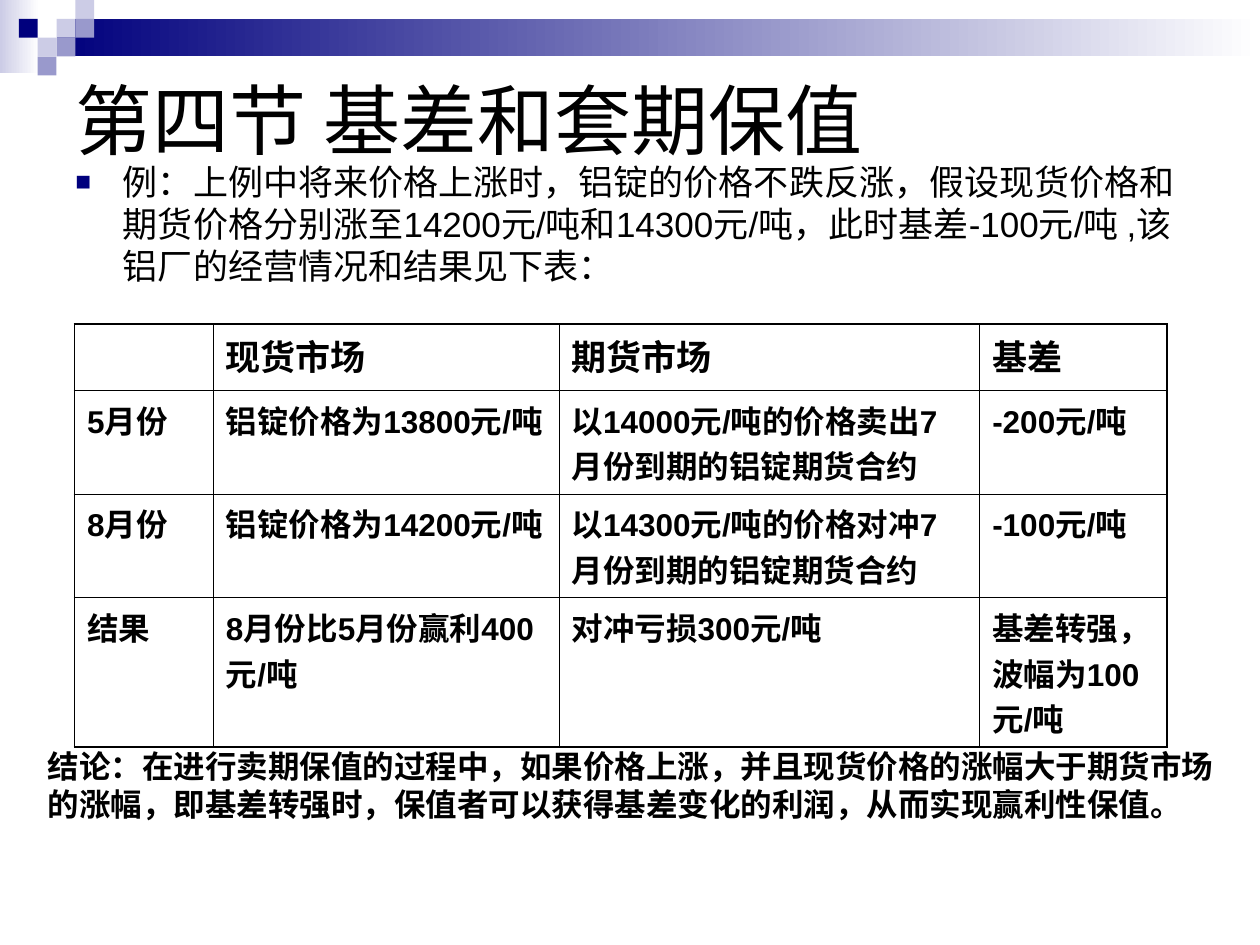
from dataclasses import dataclass

from lxml import etree
from pptx import Presentation
from pptx.dml.color import RGBColor
from pptx.enum.shapes import MSO_SHAPE
from pptx.enum.text import MSO_ANCHOR, MSO_AUTO_SIZE
from pptx.oxml.ns import qn
from pptx.util import Cm, Pt

RECTANGLE = MSO_SHAPE.RECTANGLE
TOP, MIDDLE = MSO_ANCHOR.TOP, MSO_ANCHOR.MIDDLE
FIT_SHAPE = MSO_AUTO_SIZE.SHAPE_TO_FIT_TEXT
FONT = "Arial"
COLORS = {"navy": "00007D", "lavender": "CCCCE6", "violet": "9999CC",
          "white": "FFFFFF", "black": "000000"}
SQUARE = 0.38  # side and pitch of the corner squares, cm
THIN, THICK = Pt(0.45), Pt(1.08)


@dataclass
class Band:
    left: float
    top: float
    width: float
    height: float
    color: str


@dataclass
class Square:
    column: int
    row: int
    color: str


@dataclass
class TextBlock:
    left: float
    top: float
    width: float
    height: float
    lines: list[str]
    size: int
    bold: bool = False
    wrap: bool = True
    anchor: MSO_ANCHOR = TOP
    line_height: float | None = None


BANDS = [Band(0, 0, 0.79, 1.47, "lavender"), Band(1.14, 0.38, 24.26, 0.76, "navy")]
SQUARES = [
    Square(3, 1, "lavender"), Square(4, 0, "lavender"), Square(4, 1, "violet"),
    Square(2, 2, "lavender"), Square(1, 1, "navy"), Square(3, 2, "violet"),
    Square(2, 3, "violet"),
]
TITLE = TextBlock(1.27, 1.27, 22.86, 2.26, ["第四节 基差和套期保值"], 44, anchor=MIDDLE)
EXAMPLE = TextBlock(
    1.27, 3.12, 23.24, 13.89,
    ["例：上例中将来价格上涨时，铝锭的价格不跌反涨，假设现货价格和期货价格分别涨至"
     "14200元/吨和14300元/吨，此时基差-100元/吨 ,该铝厂的经营情况和结果见下表："],
    20, line_height=24)
CONCLUSION = TextBlock(
    0.71, 14.94, 24, 1.78,
    ["结论：在进行卖期保值的过程中，如果价格上涨，并且现货价格的涨幅大于期货市场",
     "的涨幅，即基差转强时，保值者可以获得基差变化的利润，从而实现赢利性保值。"],
    18, bold=True, wrap=False, line_height=21.6)

# Each row is tall enough for its longest cell: one, two, two and three lines
COLUMN_WIDTHS = [2.8, 6.97, 8.48, 3.78]
ROW_HEIGHTS = [1.34, 2.09, 2.09, 3.01]
MARKET_ROWS = [
    ["", "现货市场", "期货市场", "基差"],
    ["5月份", "铝锭价格为13800元/吨", "以14000元/吨的价格卖出7月份到期的铝锭期货合约", "-200元/吨"],
    ["8月份", "铝锭价格为14200元/吨", "以14300元/吨的价格对冲7月份到期的铝锭期货合约", "-100元/吨"],
    ["结果", "8月份比5月份赢利400元/吨", "对冲亏损300元/吨", "基差转强，波幅为100元/吨"],
]


def rgb(name: str) -> RGBColor:
    return RGBColor.from_string(COLORS[name])


def format_runs(paragraph, size: int, bold: bool) -> None:
    for run in paragraph.runs:
        run.font.name = FONT
        run.font.size = Pt(size)
        run.font.bold = bold
        run.font.color.rgb = rgb("black")


def add_rectangle(slide, left: float, top: float, width: float, height: float):
    shape = slide.shapes.add_shape(RECTANGLE, Cm(left), Cm(top), Cm(width), Cm(height))
    shape.shadow.inherit = False
    shape.line.fill.background()
    return shape


def draw_band(slide, band: Band) -> None:
    shape = add_rectangle(slide, band.left, band.top, band.width, band.height)
    shape.fill.gradient()
    shape.fill.gradient_angle = 0
    for stop, color in zip(shape.fill.gradient_stops, (band.color, "white")):
        stop.color.rgb = rgb(color)


def draw_square(slide, square: Square) -> None:
    shape = add_rectangle(slide, square.column * SQUARE, square.row * SQUARE, SQUARE, SQUARE)
    shape.fill.solid()
    shape.fill.fore_color.rgb = rgb(square.color)


def draw_text(slide, block: TextBlock):
    shape = slide.shapes.add_textbox(
        Cm(block.left), Cm(block.top), Cm(block.width), Cm(block.height))
    text_frame = shape.text_frame
    text_frame.text = "\n".join(block.lines)
    text_frame.word_wrap = block.wrap
    text_frame.vertical_anchor = block.anchor
    if not block.wrap:
        text_frame.auto_size = FIT_SHAPE
    for paragraph in text_frame.paragraphs:
        if block.line_height:
            paragraph.line_spacing = Pt(block.line_height)
        format_runs(paragraph, block.size, block.bold)
    return shape


def add_bullet(paragraph) -> None:
    paragraph.space_before = Pt(5)
    properties = paragraph._p.get_or_add_pPr()
    properties.set("marL", str(Cm(0.96)))
    properties.set("indent", str(-Cm(0.96)))
    color = etree.SubElement(properties, qn("a:buClr"))
    etree.SubElement(color, qn("a:srgbClr"), val=COLORS["navy"])
    etree.SubElement(properties, qn("a:buSzPct"), val="75000")
    etree.SubElement(properties, qn("a:buFont"), typeface=FONT)
    etree.SubElement(properties, qn("a:buChar"), char="■")


def set_borders(cell, widths: dict[str, int]) -> None:
    properties = cell._tc.get_or_add_tcPr()
    for side, width in widths.items():
        line = etree.SubElement(properties, qn(f"a:ln{side}"), w=str(width))
        fill = etree.SubElement(line, qn("a:solidFill"))
        etree.SubElement(fill, qn("a:srgbClr"), val=COLORS["black"])


def draw_table(slide) -> None:
    row_count, column_count = len(ROW_HEIGHTS), len(COLUMN_WIDTHS)
    table = slide.shapes.add_table(
        row_count, column_count, Cm(1.5), Cm(6.53),
        Cm(sum(COLUMN_WIDTHS)), Cm(sum(ROW_HEIGHTS))).table
    table.first_row = table.horz_banding = False
    for column, width in zip(table.columns, COLUMN_WIDTHS):
        column.width = Cm(width)
    for row, height in zip(table.rows, ROW_HEIGHTS):
        row.height = Cm(height)
    for row_index, texts in enumerate(MARKET_ROWS):
        for column_index, text in enumerate(texts):
            cell = table.cell(row_index, column_index)
            # Thick lines run only along the outside of the table
            set_borders(cell, {
                "L": THICK if column_index == 0 else THIN,
                "R": THICK if column_index == column_count - 1 else THIN,
                "T": THICK if row_index == 0 else THIN,
                "B": THICK if row_index == row_count - 1 else THIN,
            })
            cell.fill.background()
            cell.text_frame.text = text
            paragraph = cell.text_frame.paragraphs[0]
            size = 20 if row_index == 0 else 18
            paragraph.space_before = Pt(size / 4)
            format_runs(paragraph, size, bold=True)


def main() -> None:
    presentation = Presentation()
    presentation.slide_width, presentation.slide_height = Cm(25.4), Cm(19.05)
    slide = presentation.slides.add_slide(presentation.slide_layouts[6])

    # Header decoration
    for band in BANDS:
        draw_band(slide, band)
    for square in SQUARES:
        draw_square(slide, square)

    # Title and example
    draw_text(slide, TITLE)
    example = draw_text(slide, EXAMPLE)
    add_bullet(example.text_frame.paragraphs[0])

    # Market comparison and conclusion
    draw_table(slide)
    draw_text(slide, CONCLUSION)

    presentation.save("out.pptx")


if __name__ == "__main__":
    main()
